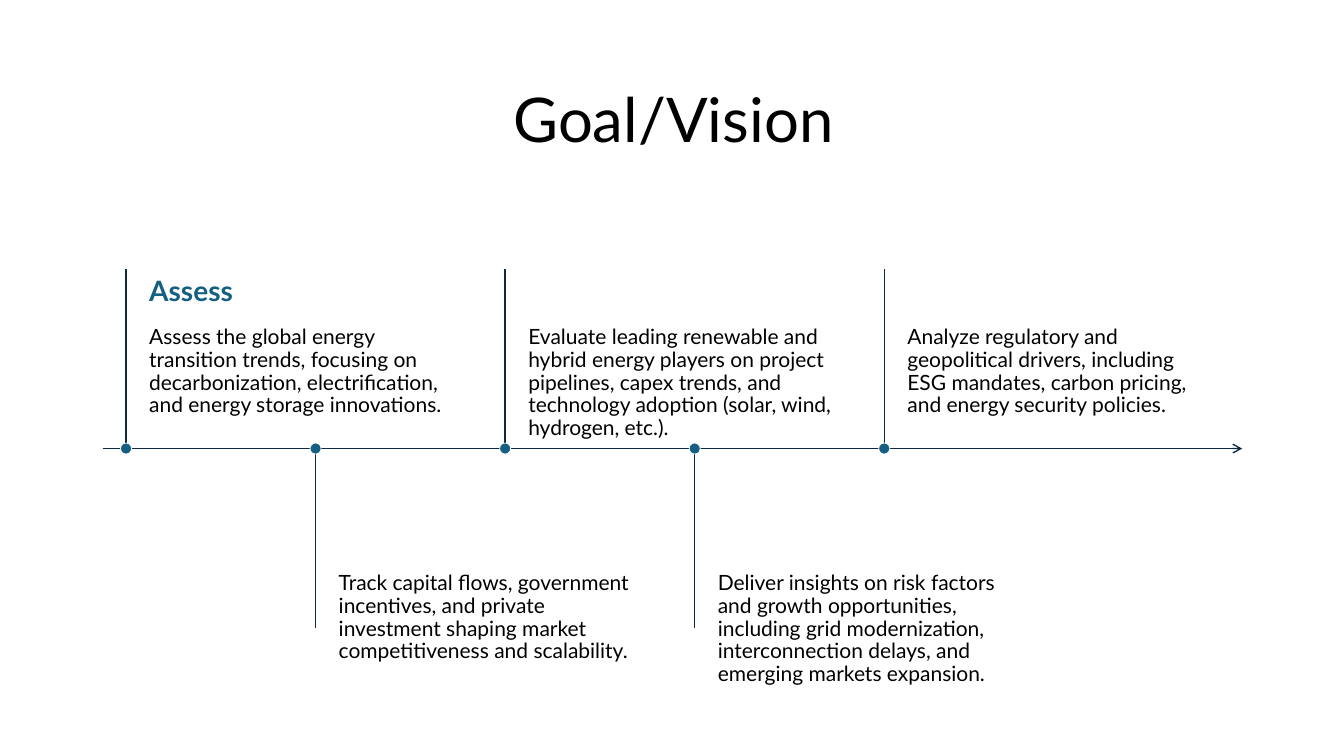
"""Build the Goal/Vision timeline slide."""
from dataclasses import dataclass

from lxml import etree
from pptx import Presentation
from pptx import util as u
from pptx.dml.color import RGBColor
from pptx.enum import shapes, text
from pptx.oxml import ns

FONT = "Lato"
BLACK, NAVY, TEAL, WHITE = "000000", "0E2841", "156082", "FFFFFF"
AXIS_LEFT, AXIS_RIGHT, AXIS_Y = 1.02, 12.32, 4.45
FIRST_X, STEP = 1.25, 1.88
STEM, DOT = 1.78, 0.11
TEXT_GAP, TEXT_WIDTH = 0.23, 3.14


@dataclass(frozen=True)
class Milestone:
    body: str
    heading: str = ""


@dataclass(frozen=True)
class TextFormat:
    size: float
    color: str = BLACK
    bold: bool = False
    align: text.PP_ALIGN = text.PP_ALIGN.LEFT
    anchor: text.MSO_ANCHOR = text.MSO_ANCHOR.TOP
    insets: tuple[float, float, float, float] = (0.1, 0.05, 0.1, 0.05)


TITLE = TextFormat(44, align=text.PP_ALIGN.CENTER, anchor=text.MSO_ANCHOR.MIDDLE)
HEADING = TextFormat(20, TEAL, True, anchor=text.MSO_ANCHOR.MIDDLE, insets=(0, 0, 0.14, 0))
BODY_ABOVE = TextFormat(15, insets=(0, 0.1, 0.1, 0.16))
BODY_BELOW = TextFormat(15, insets=(0, 0.16, 0.16, 0.1))

MILESTONES = (
    Milestone("Assess the global energy transition trends, focusing on decarbonization, "
              "electrification, and energy storage innovations.", "Assess"),
    Milestone("Track capital flows, government incentives, and private investment shaping "
              "market competitiveness and scalability."),
    Milestone("Evaluate leading renewable and hybrid energy players on project pipelines, "
              "capex trends, and technology adoption (solar, wind, hydrogen, etc.)."),
    Milestone("Deliver insights on risk factors and growth opportunities, including grid "
              "modernization, interconnection delays, and emerging markets expansion."),
    Milestone("Analyze regulatory and geopolitical drivers, including ESG mandates, carbon "
              "pricing, and energy security policies."),
)


def rgb(value: str) -> RGBColor:
    return RGBColor.from_string(value)


def set_attributes(target, values: dict) -> None:
    for name, value in values.items():
        setattr(target, name, value)


def add_text(slide, content: str, left: float, top: float, width: float, height: float,
             style: TextFormat) -> None:
    box = slide.shapes.add_textbox(*map(u.Inches, (left, top, width, height)))
    sides = ("margin_left", "margin_top", "margin_right", "margin_bottom")
    set_attributes(box.text_frame, {
        "word_wrap": True,
        "vertical_anchor": style.anchor,
        **dict(zip(sides, map(u.Inches, style.insets))),
    })
    paragraph = box.text_frame.paragraphs[0]
    set_attributes(paragraph, {"alignment": style.align, "line_spacing": 0.9})
    run = paragraph.add_run()
    run.text = content
    set_attributes(run.font, {"name": FONT, "size": u.Pt(style.size), "bold": style.bold})
    run.font.color.rgb = rgb(style.color)


def add_line(slide, start: tuple[float, float], end: tuple[float, float],
             weight: float, arrow: bool = False) -> None:
    line = slide.shapes.add_connector(
        shapes.MSO_CONNECTOR.STRAIGHT, *map(u.Inches, (*start, *end)))
    line.line.color.rgb = rgb(NAVY)
    line.line.width = u.Pt(weight)
    if arrow:
        etree.SubElement(line.line._get_or_add_ln(), ns.qn("a:tailEnd"), type="arrow")
    etree.SubElement(line._element.spPr, ns.qn("a:effectLst"))


def add_dot(slide, x: float) -> None:
    dot = slide.shapes.add_shape(
        shapes.MSO_SHAPE.OVAL,
        *map(u.Inches, (x - DOT / 2, AXIS_Y - DOT / 2, DOT, DOT)))
    dot.shadow.inherit = False
    dot.fill.solid()
    dot.fill.fore_color.rgb = rgb(TEAL)
    dot.line.color.rgb = rgb(WHITE)
    dot.line.width = u.Pt(0.5)


def add_milestone(slide, index: int, milestone: Milestone) -> None:
    x = FIRST_X + index * STEP
    left = x + TEXT_GAP
    above = index % 2 == 0
    if above:
        top = AXIS_Y - STEM
        add_text(slide, milestone.body, left, 3.14, TEXT_WIDTH, 1.32, BODY_ABOVE)
        if milestone.heading:
            add_text(slide, milestone.heading, left, top, TEXT_WIDTH, 0.46, HEADING)
    else:
        top = AXIS_Y
        add_text(slide, milestone.body, left, 5.52, TEXT_WIDTH, 0.71, BODY_BELOW)
    add_line(slide, (x, top), (x, top + STEM), 1)
    add_dot(slide, x)


def main() -> None:
    presentation = Presentation()
    set_attributes(presentation, {
        "slide_width": u.Inches(13.33), "slide_height": u.Inches(7.5)})
    slide = presentation.slides.add_slide(presentation.slide_layouts[6])
    add_text(slide, "Goal/Vision", 1.67, 0.6, 10.02, 1.24, TITLE)
    add_line(slide, (AXIS_LEFT, AXIS_Y), (AXIS_RIGHT, AXIS_Y), 0.95, arrow=True)
    for index, milestone in enumerate(MILESTONES):
        add_milestone(slide, index, milestone)
    presentation.save("out.pptx")


if __name__ == "__main__":
    main()
